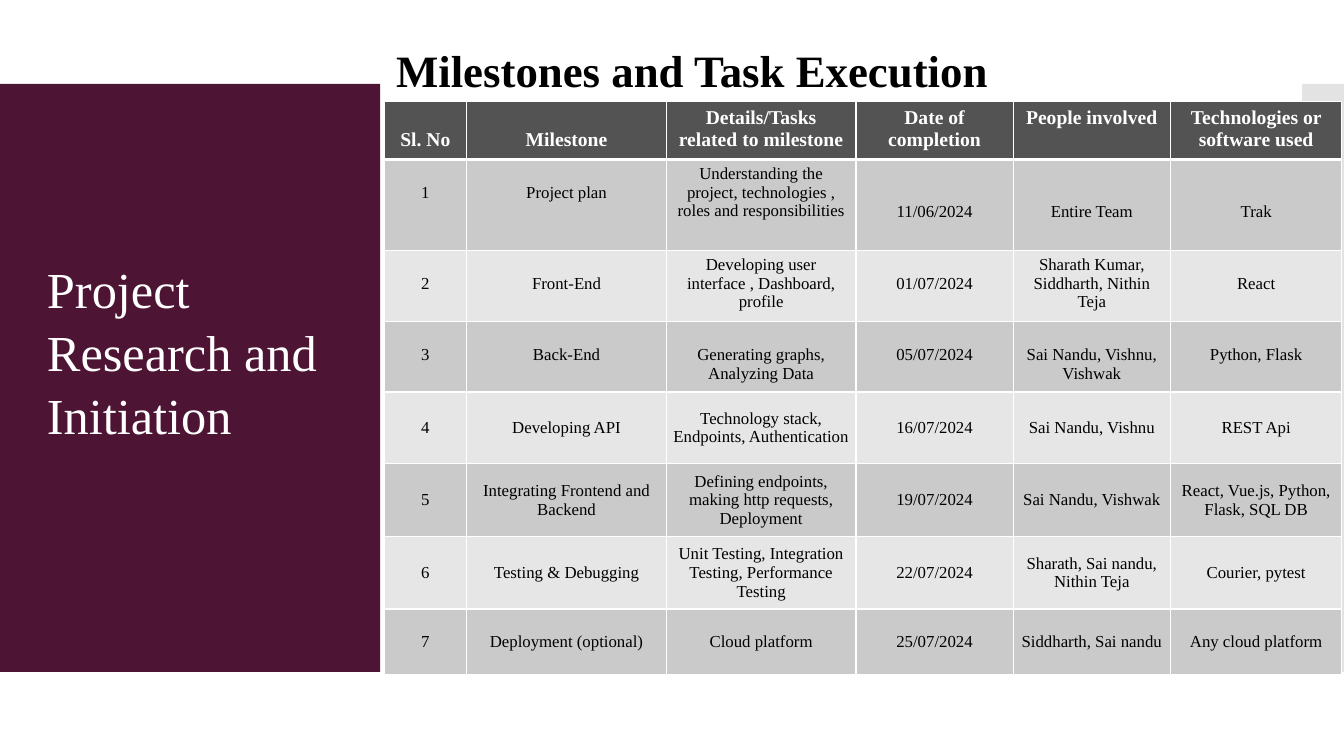
import lxml.etree
import pptx
import pptx.dml.color
import pptx.enum.shapes
import pptx.enum.text
import pptx.oxml.ns
import pptx.util

WIDTH, HEIGHT = pptx.util.Inches(13.33), pptx.util.Inches(7.5)
FONT = "Times New Roman"
WHITE, BLACK, PLUM, SILVER = "FFFFFF", "000000", "4D1434", "C8C8C8"
HEADER_FILL, BANDS = "535353", ("CACACA", "E6E6E6")
ALIGN = pptx.enum.text.PP_ALIGN
ANCHOR = pptx.enum.text.MSO_ANCHOR

COLUMN_WEIGHTS = (82, 198, 188, 156, 156, 170)
ROW_WEIGHTS = (57, 90, 70, 70, 71, 71, 71, 65)
MILESTONES = [
    ("Sl. No", "Milestone", "Details/Tasks related to milestone",
     "Date of completion", "People involved", "Technologies or software used"),
    ("1", "Project plan", "Understanding the project, technologies , roles and responsibilities",
     "11/06/2024", "Entire Team", "Trak"),
    ("2", "Front-End", "Developing user interface , Dashboard, profile",
     "01/07/2024", "Sharath Kumar, Siddharth, Nithin Teja", "React"),
    ("3", "Back-End", "Generating graphs, Analyzing Data",
     "05/07/2024", "Sai Nandu, Vishnu, Vishwak", "Python, Flask"),
    ("4", "Developing API", "Technology stack, Endpoints, Authentication",
     "16/07/2024", "Sai Nandu, Vishnu", "REST Api"),
    ("5", "Integrating Frontend and Backend", "Defining endpoints, making http requests, Deployment",
     "19/07/2024", "Sai Nandu, Vishwak", "React, Vue.js, Python, Flask, SQL DB"),
    ("6", "Testing & Debugging", "Unit Testing, Integration Testing, Performance Testing",
     "22/07/2024", "Sharath, Sai nandu, Nithin Teja", "Courier, pytest"),
    ("7", "Deployment (optional)", "Cloud platform",
     "25/07/2024", "Siddharth, Sai nandu", "Any cloud platform"),
]
LINES_DOWN = [(1, 1, 0, 0, 0, 0), (1, 1, 0, 2, 2, 2), (1, 1, 0, 1, 0, 1), (1,) * 6]


def rgb(value):
    return pptx.dml.color.RGBColor.from_string(value)


def box(left, top, width, height):
    return [round(share * side / 100)
            for share, side in zip((left, top, width, height), (WIDTH, HEIGHT) * 2)]


def write(tf, text, size=12, color=BLACK, bold=False, align=ALIGN.LEFT, spacing=1.0):
    tf.word_wrap = True
    p = tf.paragraphs[0]
    p.alignment, p.line_spacing = align, spacing
    r = p.add_run()
    r.text = text
    r.font.name, r.font.size, r.font.bold = FONT, pptx.util.Pt(size), bold
    r.font.color.rgb = rgb(color)


def set_insets(frame, sides, top=None):
    frame.margin_left = frame.margin_right = frame.margin_bottom = pptx.util.Inches(sides)
    frame.margin_top = pptx.util.Inches(sides if top is None else top)


def add_panel(slide, place, color, opacity=100):
    sp = slide.shapes.add_shape(pptx.enum.shapes.MSO_SHAPE.RECTANGLE, *place)
    sp.shadow.inherit = False
    sp.line.fill.background()
    sp.fill.solid()
    sp.fill.fore_color.rgb = rgb(color)
    if opacity < 100:
        srgb = sp.fill._xPr.find(".//" + pptx.oxml.ns.qn("a:srgbClr"))
        lxml.etree.SubElement(srgb, pptx.oxml.ns.qn("a:alpha"), val=str(opacity * 1000))


def add_title(slide, place, text):
    sp = slide.shapes.title
    slide.shapes._spTree.append(sp._element)
    sp.left, sp.top, sp.width, sp.height = place
    tf = sp.text_frame
    tf.auto_size = pptx.enum.text.MSO_AUTO_SIZE.NONE
    tf.vertical_anchor = ANCHOR.TOP
    set_insets(tf, 0.05)
    write(tf, text, size=36, color=WHITE, spacing=1.04)


def add_heading(slide, place, text):
    tf = slide.shapes.add_textbox(*place).text_frame
    set_insets(tf, 0.05)
    write(tf, text, size=32, bold=True)


def set_borders(cell, top, bottom):
    tc_pr = cell._tc.get_or_add_tcPr()
    for side, width in (("L", 1), ("R", 1), ("T", top), ("B", bottom)):
        ln = lxml.etree.SubElement(tc_pr, pptx.oxml.ns.qn("a:ln" + side),
                                   w=str(pptx.util.Pt(width)))
        fill = lxml.etree.SubElement(ln, pptx.oxml.ns.qn("a:solidFill"))
        lxml.etree.SubElement(fill, pptx.oxml.ns.qn("a:srgbClr"), val=WHITE)


def format_cell(cell, text, row, column):
    header = row == 0
    set_borders(cell, top=3 if row == 1 else 1, bottom=3 if header else 1)
    cell.fill.solid()
    cell.fill.fore_color.rgb = rgb(HEADER_FILL if header else BANDS[(row - 1) % 2])
    if row < len(LINES_DOWN):
        line_height = 0.22 if header else 0.19
        set_insets(cell, 0.1, top=0.05 + LINES_DOWN[row][column] * line_height)
        cell.margin_bottom = pptx.util.Inches(0.05)
        cell.vertical_anchor = ANCHOR.TOP
    else:
        set_insets(cell, 0.06)
        cell.vertical_anchor = ANCHOR.MIDDLE
    write(cell.text_frame, text, size=14 if header else 12,
          color=WHITE if header else BLACK, bold=header, align=ALIGN.CENTER)


def add_milestone_table(slide, place):
    table = slide.shapes.add_table(len(MILESTONES), len(COLUMN_WEIGHTS), *place).table
    for column, weight in zip(table.columns, COLUMN_WEIGHTS):
        column.width = round(place[2] * weight / sum(COLUMN_WEIGHTS))
    for row, weight in zip(table.rows, ROW_WEIGHTS):
        row.height = round(place[3] * weight / sum(ROW_WEIGHTS))
    for i, texts in enumerate(MILESTONES):
        for j, text in enumerate(texts):
            format_cell(table.cell(i, j), text, i, j)


def main():
    prs = pptx.Presentation()
    prs.slide_width, prs.slide_height = WIDTH, HEIGHT
    slide = prs.slides.add_slide(prs.slide_layouts[5])
    add_panel(slide, box(0, 11.11, 28.28, 77.78), PLUM)
    add_panel(slide, box(96.88, 11.11, 3.12, 77.78), SILVER, opacity=50)
    add_title(slide, box(3.12, 33.2, 23.4, 33.6), "Project Research and Initiation")
    add_heading(slide, box(29.1, 4.93, 45.54, 8.53), "Milestones and Task Execution")
    add_milestone_table(slide, box(28.58, 13.47, 71.27, 75.6))
    prs.save("out.pptx")


if __name__ == "__main__":
    main()
